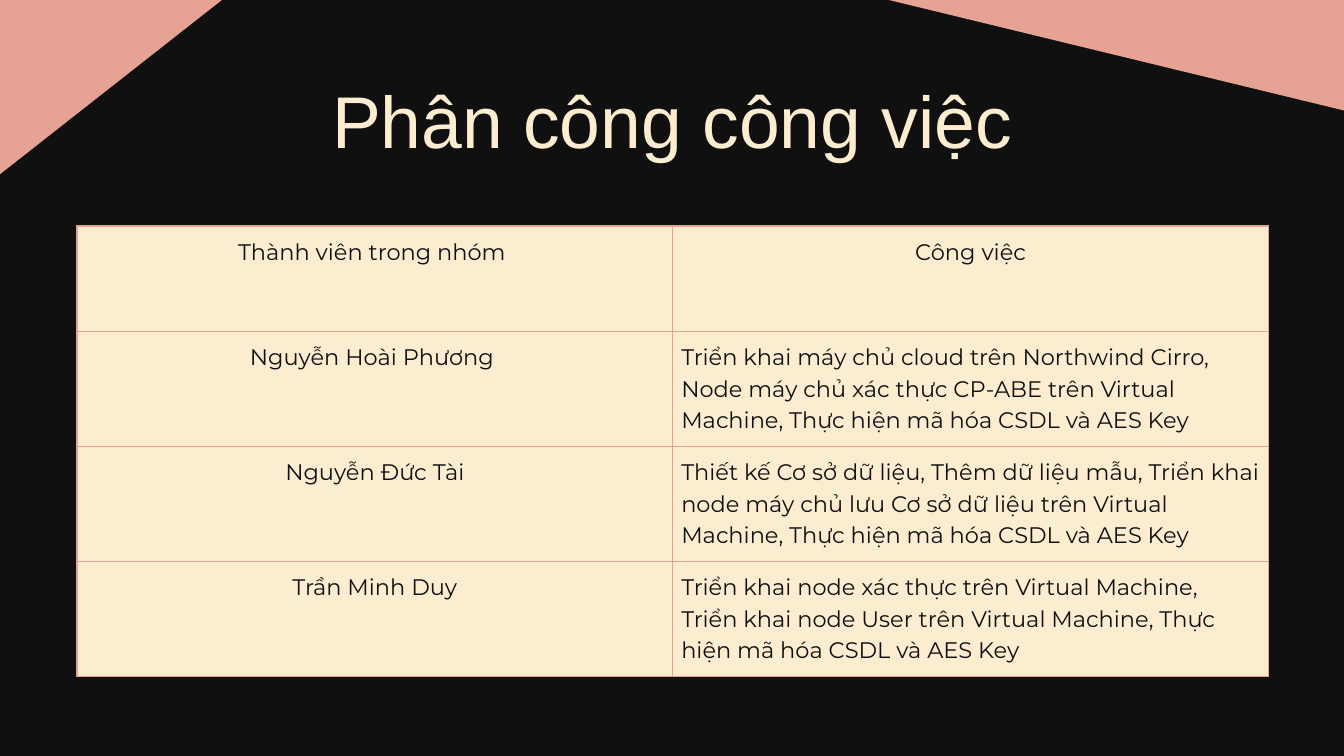
from dataclasses import dataclass

from lxml.etree import SubElement
from pptx import Presentation
from pptx.dml.color import RGBColor
from pptx.enum.text import PP_ALIGN
from pptx.oxml.ns import qn
from pptx.util import Cm, Pt

COLORS = {"night": "101010", "cream": "FCEDD1", "coral": "E6A292"}
SLIDE_W, SLIDE_H = 50.8, 28.58


@dataclass
class Band:
    """A slanted band bleeding over a slide corner, points in centimetres."""
    points: list[tuple[float, float]]


@dataclass
class Assignment:
    member: str
    work: str


BANDS = [
    Band([(28.7, -1.19), (30.73, -9.53), (70.76, 0.2), (68.73, 8.53)]),
    Band([(16.69, -17.45), (22, -10.69), (-2.13, 8.26), (-7.44, 1.52)]),
]

HEADER = Assignment("Thành viên trong nhóm ", "Công việc")
ASSIGNMENTS = [
    Assignment("Nguyễn Hoài Phương ",
               "Triển khai máy chủ cloud trên Northwind Cirro, Node máy chủ xác thực "
               "CP-ABE trên Virtual Machine, Thực hiện mã hóa CSDL và AES Key"),
    Assignment("Nguyễn Đức Tài",
               "Thiết kế Cơ sở dữ liệu, Thêm dữ liệu mẫu, Triển khai node máy chủ lưu "
               "Cơ sở dữ liệu trên Virtual Machine, Thực hiện mã hóa CSDL và AES Key"),
    Assignment("Trần Minh Duy",
               "Triển khai node xác thực trên Virtual Machine, Triển khai node User "
               "trên Virtual Machine, Thực hiện mã hóa CSDL và AES Key"),
]


def color(name: str) -> RGBColor:
    return RGBColor.from_string(COLORS[name])


def format_paragraph(paragraph, font: str, size: float, ink: str,
                     spacing: float, align: PP_ALIGN) -> None:
    paragraph.alignment = align
    paragraph.line_spacing = Pt(spacing)
    for run in paragraph.runs:
        run.font.name = font
        run.font.size = Pt(size)
        run.font.bold = False
        run.font.color.rgb = color(ink)


def draw_band(slide, corner: Band) -> None:
    start, *others = [(Cm(x), Cm(y)) for x, y in corner.points]
    builder = slide.shapes.build_freeform(*start)
    builder.add_line_segments(others, close=True)
    band = builder.convert_to_shape()
    band.shadow.inherit = False
    band.fill.solid()
    band.fill.fore_color.rgb = color("coral")
    band.line.fill.background()


def draw_title(slide, text: str) -> None:
    title = slide.shapes.add_textbox(Cm(12.24), Cm(2.84), Cm(26.33), Cm(3.3))
    frame = title.text_frame
    frame.margin_left = frame.margin_right = frame.margin_top = frame.margin_bottom = 0
    frame.word_wrap = True
    frame.text = text
    format_paragraph(frame.paragraphs[0], "Arial", 78.5, "cream", 94.2, PP_ALIGN.CENTER)


def add_borders(cell, line_color: str, width: float) -> None:
    properties = cell._tc.get_or_add_tcPr()
    for side in ("a:lnL", "a:lnR", "a:lnT", "a:lnB"):
        border = SubElement(properties, qn(side), w=str(Pt(width)))
        fill = SubElement(border, qn("a:solidFill"))
        SubElement(fill, qn("a:srgbClr"), val=COLORS[line_color])


def fill_cell(cell, text: str, align: PP_ALIGN) -> None:
    cell.text_frame.text = text
    format_paragraph(cell.text_frame.paragraphs[0], "Montserrat", 24.1, "night", 33.7, align)
    cell.margin_left = cell.margin_right = cell.margin_top = cell.margin_bottom = Cm(0.32)
    add_borders(cell, "coral", 1.5)
    cell.fill.solid()
    cell.fill.fore_color.rgb = color("cream")


def draw_assignments(slide, header: Assignment, assignments: list[Assignment]) -> None:
    rows = [header, *assignments]
    table = slide.shapes.add_table(len(rows), 2, Cm(2.91), Cm(8.54), Cm(45.04), Cm(17.04)).table
    for column in table.columns:
        column.width = Cm(22.52)
    for index, row in enumerate(rows):
        is_header = index == 0
        table.rows[index].height = Cm(3.99 if is_header else 4.35)
        fill_cell(table.cell(index, 0), row.member, PP_ALIGN.CENTER)
        fill_cell(table.cell(index, 1), row.work,
                  PP_ALIGN.CENTER if is_header else PP_ALIGN.LEFT)


def main() -> None:
    presentation = Presentation()
    presentation.slide_width, presentation.slide_height = Cm(SLIDE_W), Cm(SLIDE_H)
    slide = presentation.slides.add_slide(presentation.slide_layouts[6])

    # Background
    slide.background.fill.solid()
    slide.background.fill.fore_color.rgb = color("night")

    # Table and title
    draw_assignments(slide, HEADER, ASSIGNMENTS)
    draw_title(slide, "Phân công công việc")

    # Corner decoration
    for band in BANDS:
        draw_band(slide, band)

    presentation.save("out.pptx")


if __name__ == "__main__":
    main()
